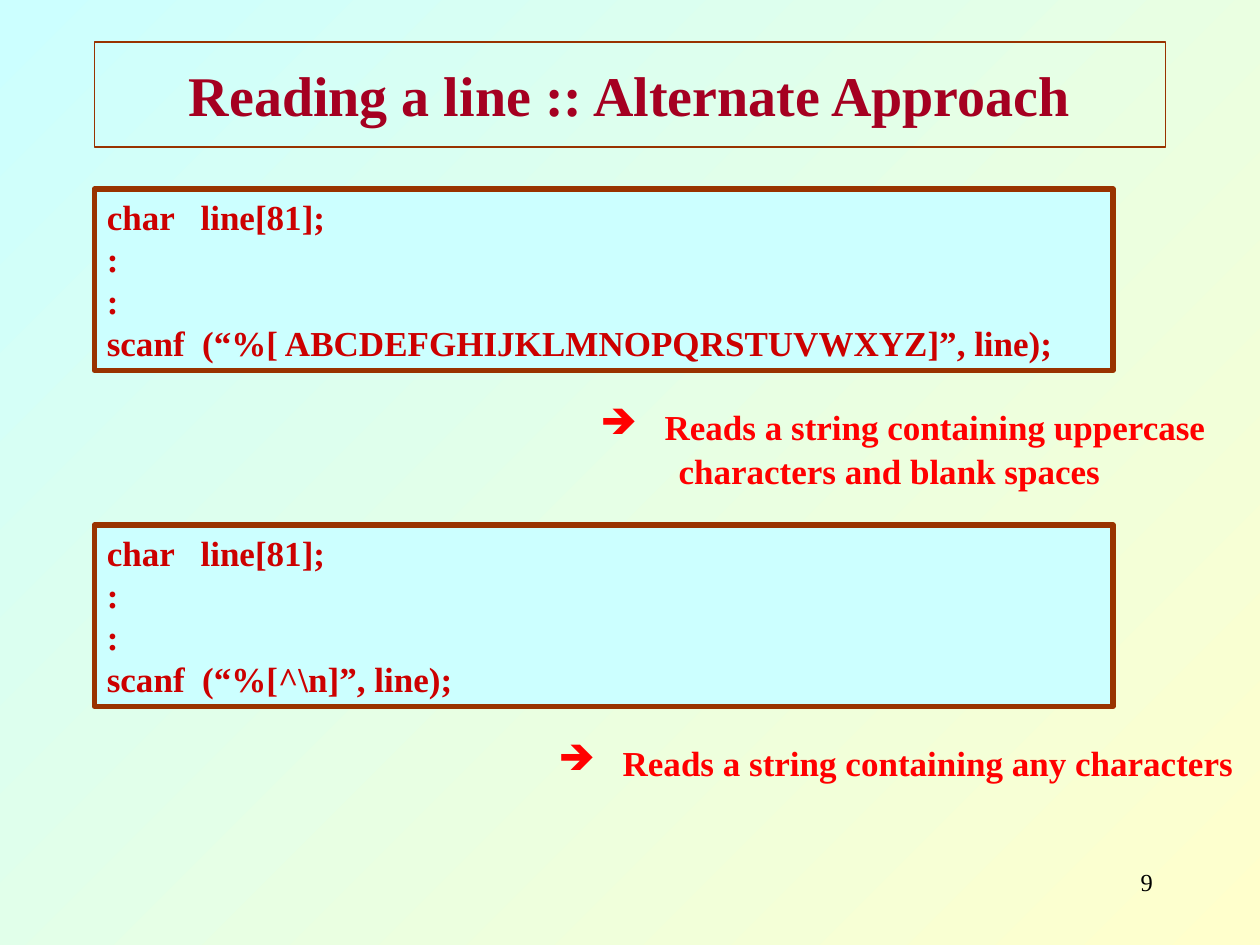
"""Build the slide about reading a line with scanf character sets."""
from dataclasses import dataclass

from lxml import etree
from pptx import Presentation
from pptx import util as u
from pptx.dml.color import RGBColor
from pptx.enum import shapes, text
from pptx.oxml.ns import qn

UNIT = u.Inches(1) // 12
COLUMNS, ROWS = 120, 90
LEFT, CODE_WIDTH, CODE_HEIGHT = 9, 97, 17.28


@dataclass(frozen=True)
class Theme:
    """Colours and type sizes of the slide."""
    font: str = "Times New Roman"
    title: str = "A50021"
    code: str = "CC0000"
    note: str = "FF0000"
    number: str = "000000"
    border: str = "993300"
    aqua: str = "CCFFFF"
    cream: str = "FFFFCC"
    title_size: int = 32
    body_size: int = 20
    number_size: int = 14


THEME = Theme()


def rgb(value):
    """Turn a hex string into a colour."""
    return RGBColor.from_string(value)


def grid(*cells):
    """Turn grid cells into lengths."""
    return [round(cell * UNIT) for cell in cells]


def paint_background(page):
    """Fill the page with a diagonal gradient."""
    fill = page.background.fill
    fill.gradient()
    fill.gradient_angle = 135
    for stop, colour in zip(fill.gradient_stops, (THEME.cream, THEME.aqua)):
        stop.color.rgb = rgb(colour)


def outline(box, width):
    """Give a box the brown border."""
    box.line.color.rgb = rgb(THEME.border)
    box.line.width = u.Pt(width)


def write(box, lines, *, size=THEME.body_size, colour=THEME.note, bold=True,
          align=text.PP_ALIGN.LEFT, anchor=text.MSO_ANCHOR.TOP):
    """Write formatted lines into a box and return its paragraphs."""
    frame = box.text_frame
    frame.word_wrap = True
    frame.auto_size = text.MSO_AUTO_SIZE.NONE
    frame.vertical_anchor = anchor
    frame.text = "\n".join(lines)
    for para in frame.paragraphs:
        para.alignment = align
        for span in para.runs:
            span.font.name = THEME.font
            span.font.size = u.Pt(size)
            span.font.bold = bold
            span.font.color.rgb = rgb(colour)
    return frame.paragraphs


def indent(para, margin, hanging=0):
    """Set the left margin and the hanging indent in inches."""
    props = para._p.get_or_add_pPr()
    props.set("marL", str(u.Inches(margin)))
    props.set("indent", str(-u.Inches(hanging)))
    return props


def add_arrow_bullet(para):
    """Start a paragraph with a red arrow bullet."""
    props = indent(para, 0.51, 0.51)
    colour = etree.SubElement(props, qn("a:buClr"))
    etree.SubElement(colour, qn("a:srgbClr"), val=THEME.note)
    etree.SubElement(props, qn("a:buChar"), char="➔")


def set_title(page, wording):
    """Place and format the framed title."""
    box = page.shapes.title
    box.left, box.top, box.width, box.height = grid(LEFT, 4, 102, 10)
    outline(box, 0.75)
    write(box, [wording], size=THEME.title_size, colour=THEME.title,
          align=text.PP_ALIGN.CENTER, anchor=text.MSO_ANCHOR.MIDDLE)


def add_code(page, row, call):
    """Add a code panel that ends with the given call."""
    box = page.shapes.add_shape(shapes.MSO_SHAPE.RECTANGLE,
                                *grid(LEFT, row, CODE_WIDTH, CODE_HEIGHT))
    box.shadow.inherit = False
    box.fill.solid()
    box.fill.fore_color.rgb = rgb(THEME.aqua)
    outline(box, 3)
    write(box, ["char   line[81];", ":", ":", call], colour=THEME.code)


def add_note(page, column, row, height, lines):
    """Add an arrow note that reaches the right edge of the page."""
    box = page.shapes.add_textbox(*grid(column, row, COLUMNS - column, height))
    first, *rest = write(box, lines)
    add_arrow_bullet(first)
    for para in rest:
        indent(para, 0.62)
        para.space_before = u.Pt(1.2)


def add_number(page, number):
    """Add the page number."""
    box = page.shapes.add_textbox(*grid(86, 82, 25, 6))
    write(box, [number], size=THEME.number_size, colour=THEME.number,
          bold=False, align=text.PP_ALIGN.RIGHT)


def main():
    """Build and save the deck."""
    deck = Presentation()
    deck.slide_width, deck.slide_height = grid(COLUMNS, ROWS)
    page = deck.slides.add_slide(deck.slide_layouts[5])
    paint_background(page)
    set_title(page, "Reading a line :: Alternate Approach")
    add_code(page, 18, "scanf  (“%[ ABCDEFGHIJKLMNOPQRSTUVWXYZ]”, line);")
    add_code(page, 50, "scanf  (“%[^\\n]”, line);")
    add_note(page, 56, 38, 9.5, ["Reads a string containing uppercase",
                                 "characters and blank spaces"])
    add_note(page, 52, 70, 5.25, ["Reads a string containing any characters"])
    add_number(page, "9")
    deck.save("out.pptx")


if __name__ == "__main__":
    main()
